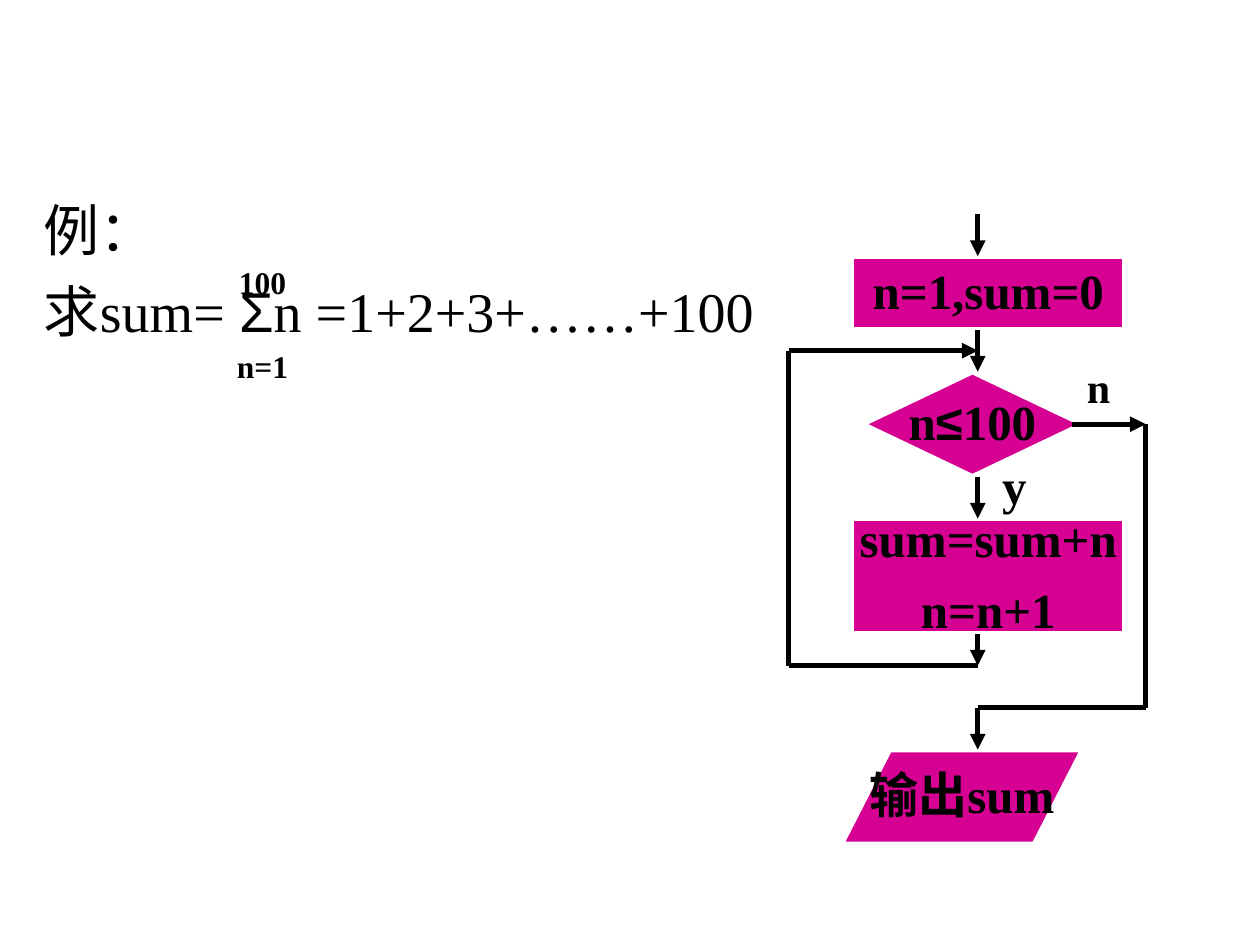
"""Build a slide with a summation example and its loop flowchart."""
from lxml import etree
from pptx import Presentation
from pptx import util as u
from pptx.dml.color import RGBColor
from pptx.enum import shapes, text
from pptx.oxml.ns import qn

BLACK = RGBColor(0, 0, 0)
WHITE = RGBColor(255, 255, 255)
MAGENTA = RGBColor(0xD6, 0, 0x93)
SERIF, SANS = "Times New Roman", "Arial"
SANS_SYMBOLS = ("Σ", "≤")
CELLS_PER_INCH = 12
PAGE_ORIGIN, CHART_ORIGIN = (0, 0), (6.26, 1.7)
AXIS, LOOP, EXIT = 18, 0, 34

EXAMPLE = [["例："], ["求sum= ", "Σ", "n =1+2+3+……+100"]]
EXAMPLE_BOX = (3, 18, 74, 20.4)
LIMITS = [("100", (21, 25, 8, 4.2)), ("n=1", (19, 33, 12, 4.2))]
BRANCHES = [("y", (18, 23, 7, 6.2), 28), ("n", (24, 14, 11, 5.4), 24)]
STEPS = [
    (shapes.MSO_SHAPE.RECTANGLE, (6, 4, 26, 7), [["n=1,sum=0"]]),
    (shapes.MSO_SHAPE.DIAMOND, (7, 15, 21, 10), [["n", "≤", "100"]]),
    (shapes.MSO_SHAPE.RECTANGLE, (6, 29, 26, 11), [["sum=sum+n"], ["n=n+1"]]),
    (shapes.MSO_SHAPE.FLOWCHART_DATA, (5, 51, 23, 9), [["输出sum"]]),
]
ARROWS = [(AXIS, top, AXIS, bottom) for top, bottom in
          [(0, 4), (11, 15), (25, 29), (40, 43), (47, 51)]]
ARROWS += [(LOOP, 13, AXIS, 13), (27, 20, EXIT, 20)]
LINES = [(AXIS, 43, LOOP, 43), (LOOP, 43, LOOP, 13),
         (EXIT, 20, EXIT, 47), (AXIS, 47, EXIT, 47)]


def place(origin, x, y):
    return [u.Inches(start + cells / CELLS_PER_INCH) for start, cells in zip(origin, (x, y))]


def frame(origin, box):
    return place(origin, *box[:2]) + place(PAGE_ORIGIN, *box[2:])


def write(shape, paragraphs, size=28, bold=True, align=text.PP_ALIGN.CENTER,
          anchor=text.MSO_ANCHOR.TOP, wrap=True, top=0, gap=7, hanging=0):
    text_frame = shape.text_frame
    text_frame.word_wrap = wrap
    text_frame.vertical_anchor = anchor
    text_frame.margin_left = text_frame.margin_right = u.Inches(0.1)
    text_frame.margin_top, text_frame.margin_bottom = u.Inches(top), u.Inches(0.05)
    for index, runs in enumerate(paragraphs):
        paragraph = text_frame.add_paragraph() if index else text_frame.paragraphs[0]
        paragraph.alignment = align
        paragraph.space_before = u.Pt(gap if index else 0)
        if hanging:
            properties = paragraph._p.get_or_add_pPr()
            properties.set("marL", str(u.Inches(hanging)))
            properties.set("indent", str(-u.Inches(hanging)))
        for words in runs:
            run = paragraph.add_run()
            run.text = words
            run.font.name = SANS if words in SANS_SYMBOLS else SERIF
            run.font.size = u.Pt(size)
            run.font.bold = bold
            run.font.color.rgb = BLACK


def add_line(slide, ends, arrow):
    connector = slide.shapes.add_connector(
        shapes.MSO_CONNECTOR.STRAIGHT,
        *place(CHART_ORIGIN, *ends[:2]), *place(CHART_ORIGIN, *ends[2:]))
    connector.line.color.rgb = BLACK
    connector.line.width = u.Pt(3)
    if arrow:
        etree.SubElement(connector.line._get_or_add_ln(), qn("a:tailEnd"), type="triangle")
    etree.SubElement(connector._element.spPr, qn("a:effectLst"))


def add_step(slide, kind, box, paragraphs):
    shape = slide.shapes.add_shape(kind, *frame(CHART_ORIGIN, box))
    shape.shadow.inherit = False
    shape.fill.solid()
    shape.fill.fore_color.rgb = MAGENTA
    shape.line.color.rgb = WHITE
    shape.line.width = u.Pt(3)
    write(shape, paragraphs, anchor=text.MSO_ANCHOR.MIDDLE, wrap=False)


def main():
    presentation = Presentation()
    presentation.slide_width, presentation.slide_height = u.Inches(10), u.Inches(7.5)
    slide = presentation.slides.add_slide(presentation.slide_layouts[6])

    example = slide.shapes.add_textbox(*frame(PAGE_ORIGIN, EXAMPLE_BOX))
    write(example, EXAMPLE, size=32, bold=False, align=text.PP_ALIGN.LEFT,
          top=0.05, gap=8, hanging=0.38)
    for words, box in LIMITS:
        write(slide.shapes.add_textbox(*frame(PAGE_ORIGIN, box)), [[words]], size=18)

    for step in STEPS:
        add_step(slide, *step)
    for words, box, size in BRANCHES:
        write(slide.shapes.add_textbox(*frame(CHART_ORIGIN, box)), [[words]], size=size)
    for ends in ARROWS:
        add_line(slide, ends, arrow=True)
    for ends in LINES:
        add_line(slide, ends, arrow=False)
    presentation.save("out.pptx")


if __name__ == "__main__":
    main()
